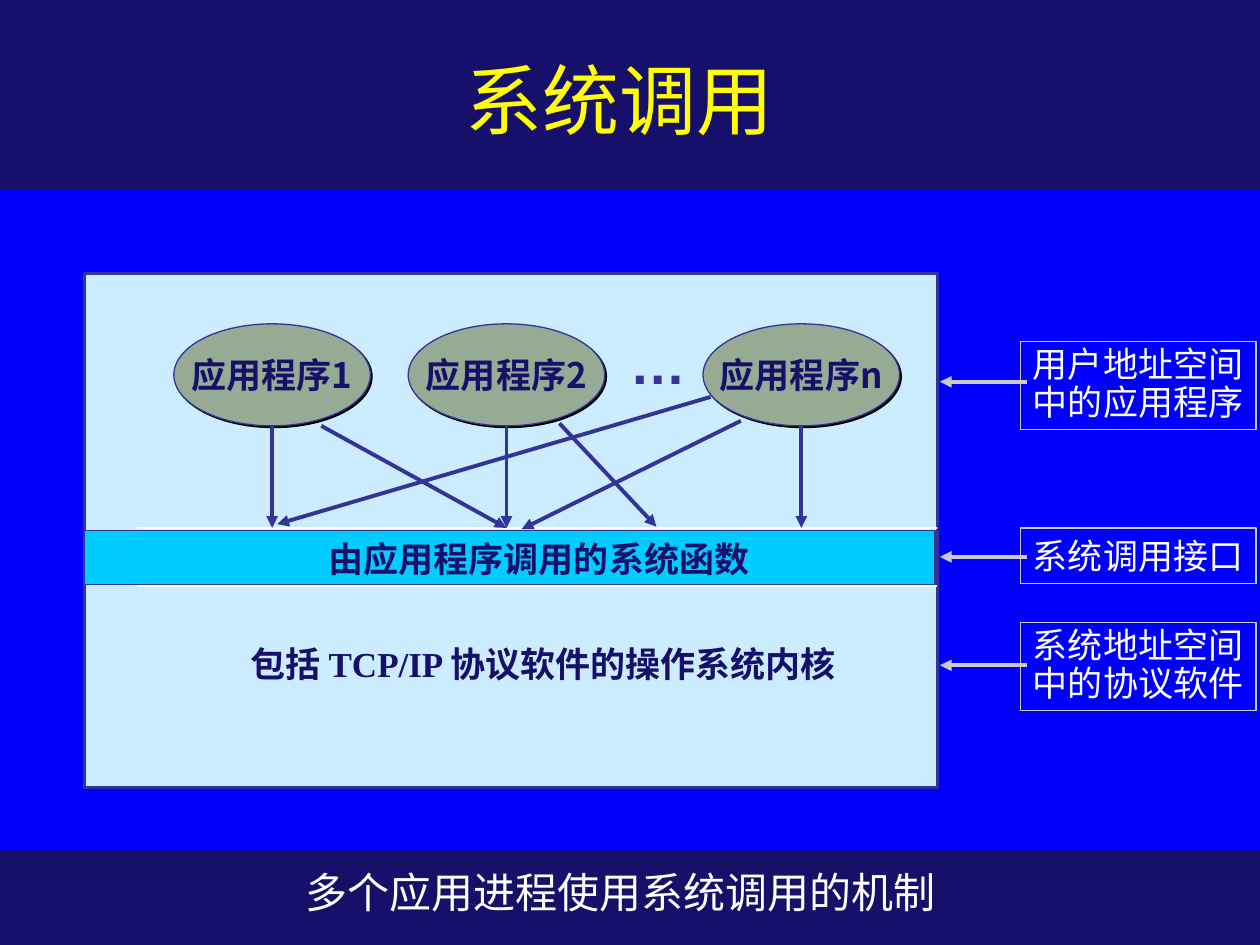
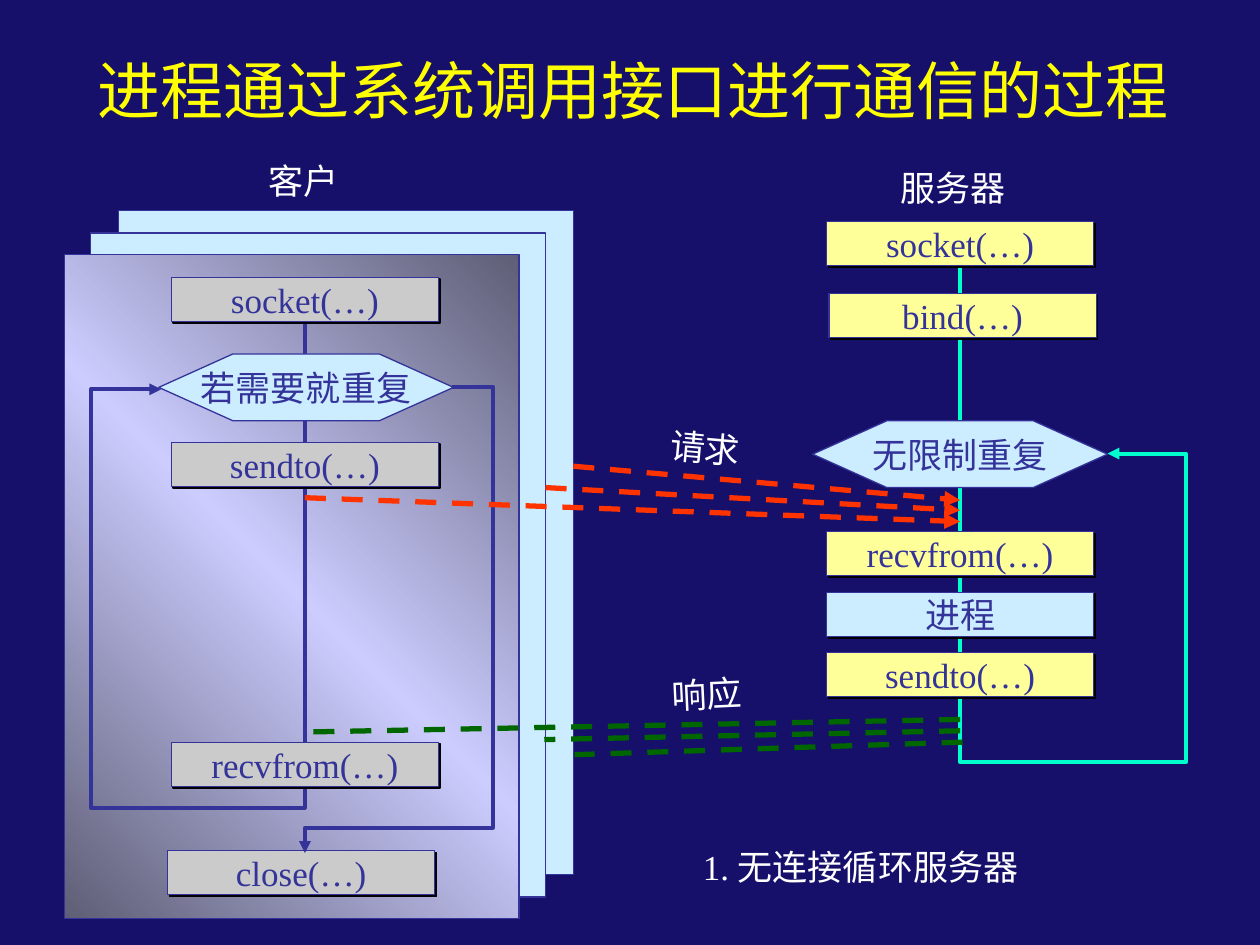
from copy import deepcopy

from lxml import etree
from pptx import Presentation
from pptx.dml.color import RGBColor
from pptx.enum.dml import MSO_LINE
from pptx.enum.shapes import MSO_CONNECTOR, MSO_SHAPE
from pptx.enum.text import MSO_ANCHOR, MSO_AUTO_SIZE, PP_ALIGN
from pptx.oxml.ns import qn
from pptx.util import Emu, Pt

PX = 9144  # 100 px to the inch

RECT, OVAL, HEX = MSO_SHAPE.RECTANGLE, MSO_SHAPE.OVAL, MSO_SHAPE.HEXAGON
LEFT, CENTER = PP_ALIGN.LEFT, PP_ALIGN.CENTER
TOP, MIDDLE = MSO_ANCHOR.TOP, MSO_ANCHOR.MIDDLE
STRAIGHT, DASH = MSO_CONNECTOR.STRAIGHT, MSO_LINE.DASH

NAVY = RGBColor(0x16, 0x10, 0x6B)
BLUE = RGBColor(0x00, 0x00, 0xFF)
INDIGO = RGBColor(0x33, 0x33, 0x99)
PALE = RGBColor(0xCC, 0xEC, 0xFF)
CYAN = RGBColor(0x00, 0xCC, 0xFF)
AQUA = RGBColor(0x00, 0xFF, 0xCC)
SAGE = RGBColor(0x96, 0xAB, 0x94)
GRAY = RGBColor(0xCB, 0xCB, 0xCB)
CREAM = RGBColor(0xFF, 0xFF, 0x99)
YELLOW = RGBColor(0xFF, 0xFF, 0x01)
WHITE = RGBColor(0xFF, 0xFF, 0xFF)
RED = RGBColor(0xFF, 0x33, 0x00)
GREEN = RGBColor(0x00, 0x66, 0x00)
SLATE = RGBColor(0x5E, 0x5E, 0x76)
LILAC = RGBColor(0xCC, 0xCC, 0xFF)

SANS, ARIAL = "Noto Sans CJK SC", "Arial"
SERIF, MONO = "Times New Roman", "Courier New"


def emu(*vals):
    return [Emu(v * PX) for v in vals]


def write(frame, text, font, color, size=20, bold=False, align=LEFT,
          anchor=TOP, wrap=False, space=None):
    """Fill a text frame, one paragraph for each line of text."""
    frame.word_wrap = wrap
    frame.auto_size = MSO_AUTO_SIZE.NONE
    frame.vertical_anchor = anchor
    frame.text = text
    for para in frame.paragraphs:
        para.alignment = align
        para.line_spacing = space
        para.font.name = font
        para.font.size = Pt(size)
        para.font.bold = bold
        para.font.color.rgb = color


def add_title(slide, text, area, size):
    title = slide.shapes.title
    title.left, title.top, title.width, title.height = emu(*area)
    write(title.text_frame, text, ARIAL, YELLOW, size, align=CENTER,
          anchor=MIDDLE, wrap=True)


def add_text(slide, text, area, font, color, turn=0, **style):
    box = slide.shapes.add_textbox(*emu(*area))
    box.rotation = turn
    write(box.text_frame, text, font, color, **style)
    return box


def add_box(slide, area, fill=None, edge=INDIGO, width=0.75, kind=RECT):
    box = slide.shapes.add_shape(kind, *emu(*area))
    box.shadow.inherit = False
    if fill is None:
        box.fill.background()
    else:
        box.fill.solid()
        box.fill.fore_color.rgb = fill
    if edge is None:
        box.line.fill.background()
    else:
        box.line.color.rgb = edge
        box.line.width = Pt(width)
    return box


def add_shade(box):
    """Hard black shadow to the lower right."""
    effects = box._element.spPr.find(qn("a:effectLst"))
    shade = etree.SubElement(effects, qn("a:outerShdw"), dist="17780",
                             dir="2700000", algn="ctr", rotWithShape="0")
    etree.SubElement(shade, qn("a:srgbClr"), val="000000")


def add_head(shape):
    line = shape._element.spPr.find(qn("a:ln"))
    etree.SubElement(line, qn("a:tailEnd"), type="triangle")


def add_line(slide, ends, color, width=2.25, dash=None, head=False):
    line = slide.shapes.add_connector(STRAIGHT, *emu(*ends))
    line.line.color.rgb = color
    line.line.width = Pt(width)
    if dash is not None:
        line.line.dash_style = dash
    if head:
        add_head(line)
    etree.SubElement(line._element.spPr, qn("a:effectLst"))


def add_path(slide, points, color):
    """Open bent line with an arrowhead at its last point."""
    pen = slide.shapes.build_freeform(*points[0], scale=PX)
    pen.add_line_segments(points[1:], close=False)
    path = pen.convert_to_shape()
    path.shadow.inherit = False
    path.fill.background()
    path.line.color.rgb = color
    path.line.width = Pt(2.25)
    add_head(path)


def add_app(slide, left, text):
    app = add_box(slide, (left, 257, 156, 81), SAGE, kind=OVAL)
    add_shade(app)
    write(app.text_frame, text, SANS, NAVY, bold=True, align=CENTER, anchor=MIDDLE)


def add_note(slide, top, height, tip, text):
    """Framed remark right of the diagram, with its arrow."""
    note = add_box(slide, (810, top, 187, height), edge=GRAY)
    space = 0.9 if "\n" in text else None
    write(note.text_frame, text, SANS, WHITE, space=space)
    add_line(slide, (815, tip, 746, tip), GRAY, head=True)


def add_call(slide, left, top, text, fill, font=SERIF):
    call = add_box(slide, (left, top, 212, 35), fill)
    add_shade(call)
    write(call.text_frame, text, font, INDIGO, align=CENTER, anchor=MIDDLE)


def add_loop(slide, left, top, text):
    loop = add_box(slide, (left, top, 234, 53), PALE, kind=HEX)
    loop.adjustments[0] = 1.11
    write(loop.text_frame, text, MONO, INDIGO, align=CENTER, anchor=MIDDLE)


def add_blend(box):
    """Diagonal dark, light, dark gradient."""
    box.fill.gradient()
    box.fill.gradient_angle = 45
    stops = box._element.spPr.find(".//" + qn("a:gsLst"))
    stops.insert(1, deepcopy(stops[0]))
    for stop, place, color in zip(box.fill.gradient_stops, (0, 0.5, 1),
                                  (SLATE, LILAC, SLATE)):
        stop.position = place
        stop.color.rgb = color


def draw_layers(slide):
    add_title(slide, "系统调用", (75, 0, 834, 157), 44)

    # Backdrop and system frame
    add_box(slide, (0, 150, 1000, 525), BLUE, edge=None)
    add_box(slide, (67, 217, 677, 408), PALE, width=1.5)

    # Application programs
    for left, mark in ((138, "1"), (324, "2"), (558, "n")):
        add_app(slide, left, "应用程序" + mark)
    add_text(slide, "…", (490, 256, 64, 64), ARIAL, INDIGO, size=32, bold=True)

    # System call band
    add_box(slide, (67, 421, 675, 43), CYAN)
    for y in (419, 465):
        add_line(slide, (109, y, 744, y), WHITE, 0.75)
    add_text(slide, "由应用程序调用的系统函数", (251, 422, 354, 44), SANS, NAVY, bold=True)

    # Calls from programs to functions
    for x in (216, 402, 636):
        add_line(slide, (x, 338, x, 419), INDIGO, head=True)
    for ends in ((255, 338, 402, 419), (588, 334, 414, 420),
                 (564, 315, 220, 416), (444, 336, 521, 418)):
        add_line(slide, ends, INDIGO, head=True)

    # Remarks
    add_note(slide, 271, 70, 303, "用户地址空间\n中的应用程序")
    add_note(slide, 419, 44, 442, "系统调用接口")
    add_note(slide, 494, 70, 528, "系统地址空间\n中的协议软件")

    # Kernel line, its protocol name in a serif face
    kernel = add_text(slide, "包括 ", (189, 505, 500, 44), SANS, NAVY, bold=True)
    para = kernel.text_frame.paragraphs[0]
    for text, font in (("TCP/IP ", SERIF), ("协议软件的操作系统内核", SANS)):
        run = para.add_run()
        run.text = text
        run.font.name = font

    add_text(slide, "多个应用进程使用系统调用的机制", (233, 683, 583, 50),
             SERIF, WHITE, size=24, wrap=True)


def draw_talk(slide):
    add_title(slide, "进程通过系统调用接口进行通信的过程", (27, 12, 951, 117), 36)

    # Stack of clients
    for left, top in ((94, 167), (72, 185), (51, 202)):
        client = add_box(slide, (left, top, 361, 527), PALE)
    add_blend(client)

    # Flow lines behind the steps
    add_path(slide, [(242, 255), (242, 641), (72, 641), (72, 309), (128, 309)], INDIGO)
    add_path(slide, [(762, 212), (762, 605), (941, 605), (941, 360), (879, 360)], AQUA)

    # Client steps
    add_text(slide, "客户", (203, 122, 75, 44), MONO, WHITE)
    for left, top, name in ((136, 220, "socket"), (136, 351, "sendto"),
                            (136, 589, "recvfrom"), (133, 675, "close")):
        add_call(slide, left, top, name + "(…)", GRAY)
    add_loop(slide, 126, 281, "若需要就重复")
    add_path(slide, [(359, 307), (391, 307), (391, 657), (242, 657), (242, 677)], INDIGO)

    # Server steps
    add_text(slide, "服务器", (705, 127, 103, 44), MONO, WHITE)
    for left, top, name in ((656, 176, "socket"), (658, 233, "bind"),
                            (656, 422, "recvfrom"), (656, 518, "sendto")):
        add_call(slide, left, top, name + "(…)", CREAM)
    add_call(slide, 656, 470, "进程", PALE, MONO)
    add_loop(slide, 645, 334, "无限制重复")

    # Requests and replies
    for ends in ((242, 395, 762, 414), (433, 387, 762, 405), (455, 370, 762, 397)):
        add_line(slide, ends, RED, 3, DASH, head=True)
    for ends in ((762, 571, 242, 581), (762, 580, 432, 587), (764, 589, 456, 599)):
        add_line(slide, ends, GREEN, 3, DASH)
    add_text(slide, "请求", (522, 334, 75, 44), MONO, WHITE, turn=5.1)
    add_text(slide, "响应", (523, 529, 75, 44), MONO, WHITE, turn=357.2)

    add_text(slide, "1. 无连接循环服务器", (532, 666, 302, 44), SERIF, WHITE,
             align=CENTER, wrap=True)


def main():
    prs = Presentation()
    prs.slide_width, prs.slide_height = emu(1000, 750)
    back = prs.slide_master.background.fill
    back.solid()
    back.fore_color.rgb = NAVY
    for draw in (draw_layers, draw_talk):
        draw(prs.slides.add_slide(prs.slide_layouts[5]))
    prs.save("out.pptx")


if __name__ == "__main__":
    main()
